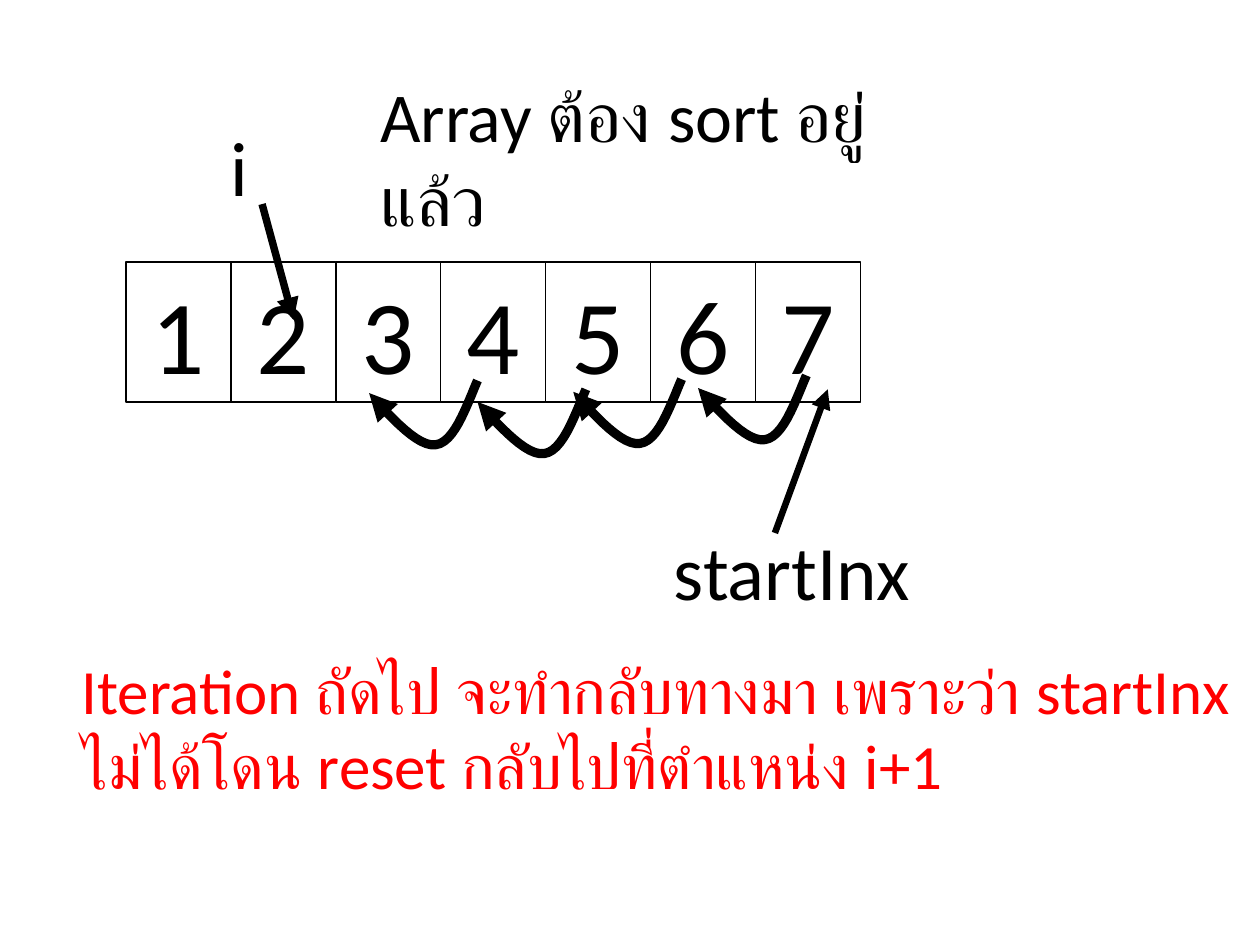
import pptx
import pptx.dml.color
import pptx.enum.shapes
import pptx.enum.text
import pptx.oxml.ns
import pptx.util
from lxml import etree
from pptx.util import Inches, Pt

COLORS = {"ink": "000000", "note": "FF0000"}
FONT = "Calibri"

VALUES = [1, 2, 3, 4, 5, 6, 7]
ROW_LEFT, ROW_TOP, ROW_WIDTH, CELL_HEIGHT = 1, 2.08, 5.83, 1.11

# text, (left, top, width, height), size, colour
LABELS = [
    ("i", (1.73, 0.9, 1.17, 0.84), 44, "ink"),
    ("startInx", (5.25, 4.11, 2.5, 0.84), 44, "ink"),
    ("Array ต้อง sort อยู่แล้ว", (2.92, 0.53, 4.67, 0.77), 40, "ink"),
    ("Iteration ถัดไป จะทำกลับทางมา เพราะว่า startInx ไม่ได้โดน reset "
     "กลับไปที่ตำแหน่ง i+1", (0.55, 5.12, 9.7, 1.31), 36, "note"),
]
# start, end, line width
POINTERS = [
    ((2.08, 1.62), (2.33, 2.54), 4.25),
    ((6.15, 4.23), (6.57, 3.09), 3.75),
]
HOP_STARTS = [(6.4, 2.98), (5.41, 3.01), (4.65, 3.09), (3.79, 3.02)]
# Two cubic curves, as offsets from the start of a hop
HOP_CURVES = [
    ((0, 0), (-0.1, 0.24), (-0.19, 0.49), (-0.33, 0.51)),
    ((-0.33, 0.51), (-0.47, 0.53), (-0.67, 0.31), (-0.86, 0.1)),
]
HOP_STEPS = 12
HOP_WIDTH = 5.25


def color(name):
    return pptx.dml.color.RGBColor.from_string(COLORS[name])


def write(shape, text, size, ink="ink", align=None, anchor="TOP"):
    frame = shape.text_frame
    frame.word_wrap = True
    frame.auto_size = pptx.enum.text.MSO_AUTO_SIZE.SHAPE_TO_FIT_TEXT
    frame.vertical_anchor = pptx.enum.text.MSO_ANCHOR[anchor]
    para = frame.paragraphs[0]
    para.alignment = align
    span = para.add_run()
    span.text = text
    span.font.name = FONT
    span.font.size = Pt(size)
    span.font.color.rgb = color(ink)


def set_line(shape, width, arrow=False):
    shape.line.color.rgb = color("ink")
    shape.line.width = Pt(width)
    if arrow:
        line = shape.line._get_or_add_ln()
        etree.SubElement(line, pptx.oxml.ns.qn("a:tailEnd"), type="triangle")


def add_cell(page, value, left, width):
    box = page.shapes.add_shape(
        pptx.enum.shapes.MSO_SHAPE.RECTANGLE,
        Inches(left), Inches(ROW_TOP), Inches(width), Inches(CELL_HEIGHT))
    box.shadow.inherit = False
    box.fill.background()
    set_line(box, 0.75)
    write(box, str(value), 60, align=pptx.enum.text.PP_ALIGN.CENTER,
          anchor="MIDDLE")


def add_pointer(page, start, end, width):
    pointer = page.shapes.add_connector(
        pptx.enum.shapes.MSO_CONNECTOR.STRAIGHT,
        *(Inches(value) for value in start + end))
    set_line(pointer, width, arrow=True)
    etree.SubElement(pointer._element.spPr, pptx.oxml.ns.qn("a:effectLst"))


def bezier(curve, t):
    """Return the point at t (0 to 1) on a cubic curve."""
    weights = ((1 - t) ** 3, 3 * t * (1 - t) ** 2, 3 * t ** 2 * (1 - t), t ** 3)
    return tuple(sum(w * point[axis] for w, point in zip(weights, curve))
                 for axis in (0, 1))


def add_hop(page, start):
    offsets = [bezier(curve, step / HOP_STEPS)
               for curve in HOP_CURVES for step in range(1, HOP_STEPS + 1)]
    points = [(Inches(start[0] + dx), Inches(start[1] + dy))
              for dx, dy in offsets]
    builder = page.shapes.build_freeform(Inches(start[0]), Inches(start[1]))
    builder.add_line_segments(points, close=False)
    hop = builder.convert_to_shape()
    hop.shadow.inherit = False
    hop.fill.background()
    set_line(hop, HOP_WIDTH, arrow=True)


def main():
    deck = pptx.Presentation()
    deck.slide_width, deck.slide_height = Inches(10), Inches(7.5)
    page = deck.slides.add_slide(deck.slide_layouts[6])

    cell_width = ROW_WIDTH / len(VALUES)
    for index, value in enumerate(VALUES):
        add_cell(page, value, ROW_LEFT + index * cell_width, cell_width)
    for pointer in POINTERS:
        add_pointer(page, *pointer)
    for start in HOP_STARTS:
        add_hop(page, start)
    for text, place, size, ink in LABELS:
        box = page.shapes.add_textbox(*(Inches(value) for value in place))
        write(box, text, size, ink)

    deck.save("out.pptx")


if __name__ == "__main__":
    main()
